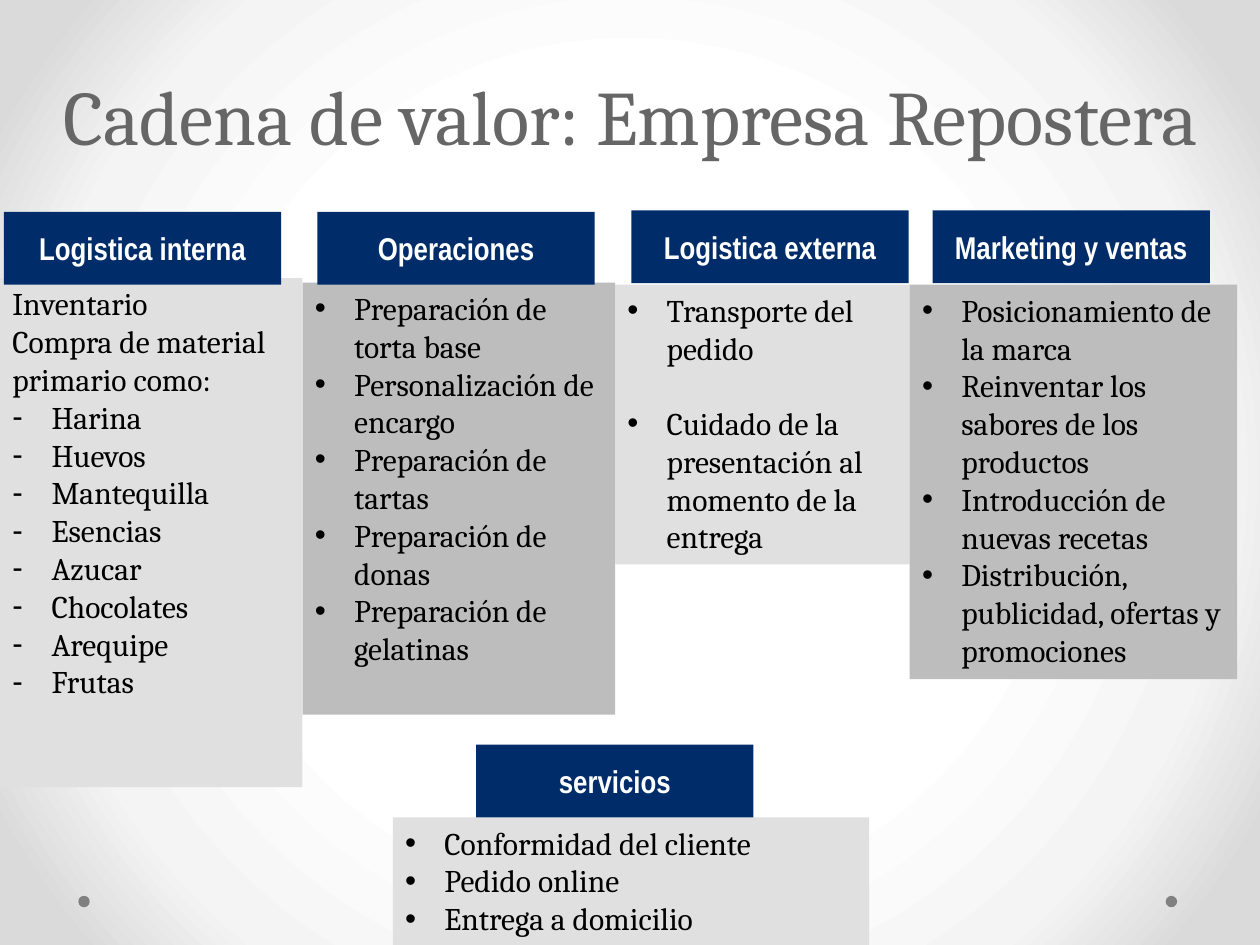
from dataclasses import dataclass

import pptx
import pptx.dml.color
import pptx.enum.shapes
import pptx.enum.text
import pptx.oxml
import pptx.oxml.ns
import pptx.util
from lxml import etree

Cm = pptx.util.Cm
Pt = pptx.util.Pt
RGB = pptx.dml.color.RGBColor
Kind = pptx.enum.shapes.MSO_SHAPE
Align = pptx.enum.text.PP_ALIGN
Anchor = pptx.enum.text.MSO_ANCHOR
qn = pptx.oxml.ns.qn

NAVY = RGB(0x00, 0x2D, 0x6A)
LIGHT = RGB(0xE0, 0xE0, 0xE0)
MID = RGB(0xBD, 0xBD, 0xBD)
DOT = RGB(0x80, 0x80, 0x80)
TITLE = RGB(0x66, 0x66, 0x66)
BLACK = RGB(0, 0, 0)
WHITE = RGB(0xFF, 0xFF, 0xFF)
GLOW = ((50, "FFFFFF"), (76, "F4F4F4"), (92, "DADADA"))

HEAD_W, HEAD_H = 5.59, 1.47
INDENT = 0.79


@dataclass
class Stage:
    name: str
    head: tuple[float, float]                # left, top
    box: tuple[float, float, float, float]   # left, top, width, height
    fill: RGB
    items: tuple[str, ...]
    intro: tuple[str, ...] = ()
    mark: str = "•"
    gap: float = 0


STAGES = (
    Stage("Logistica interna", (0.08, 4.27), (0, 5.61, 6.1, 10.26), LIGHT,
          ("Harina", "Huevos", "Mantequilla", "Esencias", "Azucar",
           "Chocolates", "Arequipe", "Frutas"),
          intro=("Inventario", "Compra de material primario como:"), mark="-"),
    Stage("Operaciones", (6.4, 4.27), (6.1, 5.7, 6.3, 8.71), MID,
          ("Preparación de torta base", "Personalización de encargo",
           "Preparación de tartas", "Preparación de donas",
           "Preparación de gelatinas")),
    Stage("Logistica externa", (12.73, 4.24), (12.4, 5.74, 5.94, 5.64), LIGHT,
          ("Transporte del pedido",
           "Cuidado de la presentación al momento de la entrega"), gap=21.5),
    Stage("Marketing y ventas", (18.8, 4.24), (18.34, 5.74, 6.6, 7.95), MID,
          ("Posicionamiento de la marca",
           "Reinventar los sabores de los productos",
           "Introducción de nuevas recetas",
           "Distribución, publicidad, ofertas y promociones")),
    Stage("servicios", (9.6, 15.01), (7.92, 16.48, 9.6, 2.57), LIGHT,
          ("Conformidad del cliente", "Pedido online", "Entrega a domicilio")),
)


def write(frame, text: str, *, font="Cambria", size=18, color=BLACK, bold=False,
          align=Align.LEFT, mark="", gap=0, line=None) -> None:
    """Add one formatted paragraph, filling the first one if it is empty."""
    para = frame.paragraphs[0]
    if para.text:
        para = frame.add_paragraph()
    run = para.add_run()
    run.text = text
    run.font.name, run.font.size, run.font.bold = font, Pt(size), bold
    run.font.color.rgb = color
    para.alignment = align
    if gap:
        para.space_after = Pt(gap)
    if line:
        para.line_spacing = Pt(line)
    if mark:
        props = para._p.get_or_add_pPr()
        props.set("marL", str(Cm(INDENT)))
        props.set("indent", str(-Cm(INDENT)))
        etree.SubElement(props, qn("a:buFont")).set("typeface", "Arial")
        etree.SubElement(props, qn("a:buChar")).set("char", mark)


def block(slide, kind, place: tuple[float, ...], fill: RGB, anchor=Anchor.TOP):
    """Draw a plain filled shape and return its text frame."""
    shape = slide.shapes.add_shape(kind, *(Cm(v) for v in place))
    shape.shadow.inherit = False
    shape.fill.solid()
    shape.fill.fore_color.rgb = fill
    shape.line.fill.background()
    frame = shape.text_frame
    frame.word_wrap = True
    frame.vertical_anchor = anchor
    return frame


def glow(slide) -> None:
    """Give the slide a round gradient, white in the middle."""
    slide.background.fill.gradient()
    grad = slide.element.find(".//" + qn("a:gradFill"))
    for child in list(grad):
        grad.remove(child)
    stops = etree.SubElement(grad, qn("a:gsLst"))
    for pos, color in GLOW:
        stop = etree.SubElement(stops, qn("a:gs"), pos=str(pos * 1000))
        etree.SubElement(stop, qn("a:srgbClr"), val=color)
    round_ = etree.SubElement(grad, qn("a:path"))
    round_.set("path", "circle")
    etree.SubElement(round_, qn("a:fillToRect"),
                     **{side: "50000" for side in "ltrb"})


def main() -> None:
    deck = pptx.Presentation()
    deck.slide_width, deck.slide_height = Cm(25.4), Cm(19.05)
    slide = deck.slides.add_slide(deck.slide_layouts[5])
    glow(slide)

    # Title
    title = slide.shapes.title
    title.left, title.top = Cm(-1.98), Cm(-1.07)
    title.width, title.height = Cm(29.41), Cm(4.45)
    frame = title.text_frame
    frame.auto_size = pptx.enum.text.MSO_AUTO_SIZE.NONE
    frame.vertical_anchor = Anchor.BOTTOM
    write(frame, "Cadena de valor: Empresa Repostera", size=44, color=TITLE,
          align=Align.CENTER, line=58)

    # Corner dots
    for left in (1.58, 23.5):
        block(slide, Kind.OVAL, (left, 18.06, 0.23, 0.23), DOT)

    # Stage lists
    for stage in STAGES:
        frame = block(slide, Kind.RECTANGLE, stage.box, stage.fill)
        for text in stage.intro:
            write(frame, text)
        for text in stage.items:
            write(frame, text, mark=stage.mark, gap=stage.gap)

    # Stage headings, over the lists
    for stage in STAGES:
        frame = block(slide, Kind.RECTANGLE, (*stage.head, HEAD_W, HEAD_H),
                      NAVY, Anchor.MIDDLE)
        write(frame, stage.name, font="Arial Narrow", color=WHITE, bold=True,
              align=Align.CENTER)

    deck.save("out.pptx")


if __name__ == "__main__":
    main()
